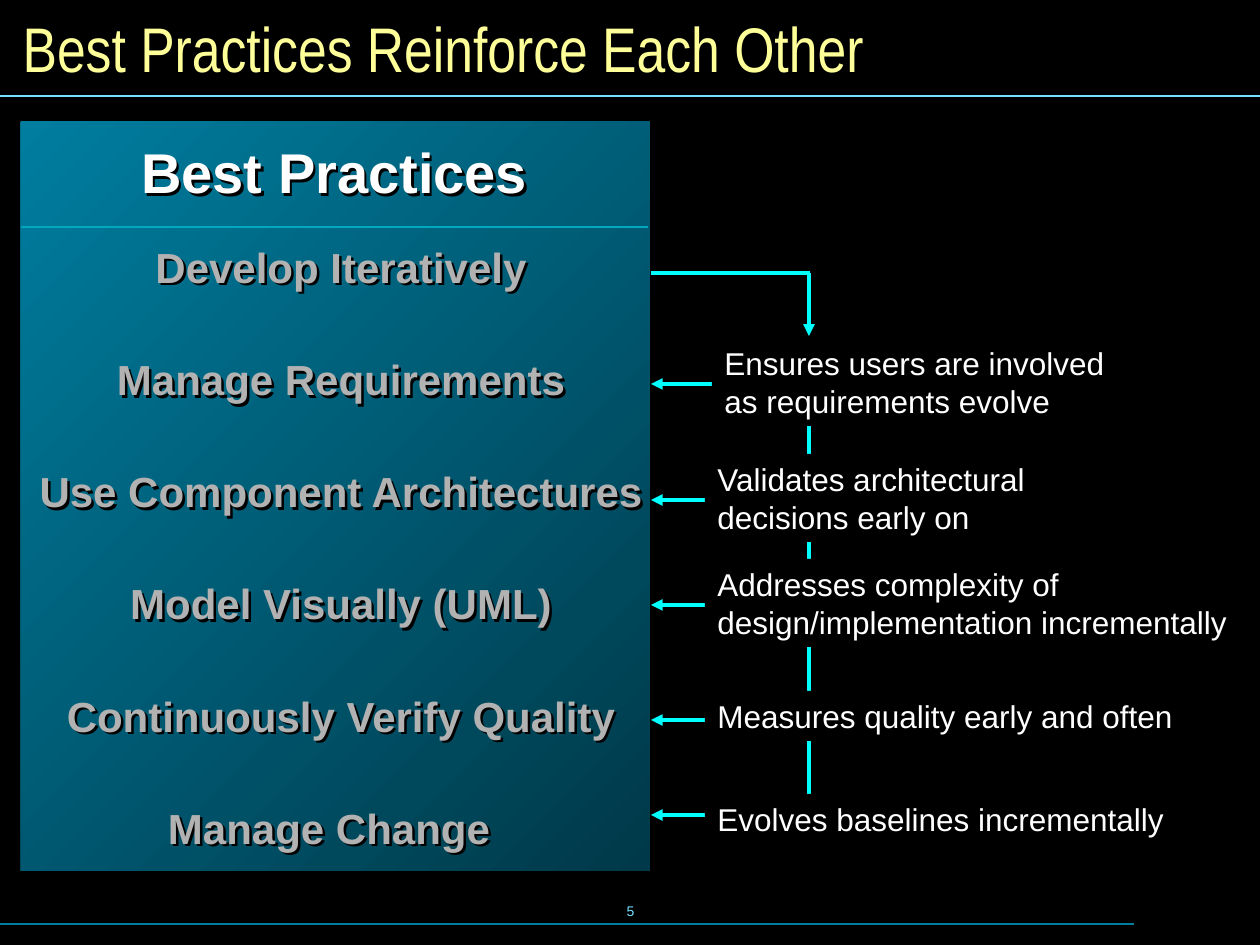
from lxml import etree
from pptx import Presentation
from pptx import util as u
from pptx.dml.color import RGBColor
from pptx.enum import shapes, text
from pptx.oxml.ns import qn

PX = u.Inches(1) // 126
BLACK, WHITE, CYAN, PALE_BLUE = "000000", "FFFFFF", "00FFFF", "73E1FF"
PANEL_RIGHT, SPINE_X = 651, 809

PRACTICES = [
    "Develop Iteratively",
    "Manage Requirements",
    "Use Component Architectures",
    "Model Visually (UML)",
    "Continuously Verify Quality",
    "Manage Change",
]
# left, top, width, height, arrow y, lines
BENEFITS = [
    (712, 338, 424, 88, 384, ["Ensures users are involved", "as requirements evolve"]),
    (705, 454, 354, 88, 500, ["Validates architectural", "decisions early on"]),
    (705, 559, 545, 88, 605, ["Addresses complexity of", "design/implementation incrementally"]),
    (705, 691, 490, 50, 720, ["Measures quality early and often"]),
    (705, 794, 481, 50, 815, ["Evolves baselines incrementally"]),
]


def px(*lengths):
    return [u.Emu(length * PX) for length in lengths]


def color(value):
    return RGBColor.from_string(value)


def add_run(paragraph, words, size, hue, font="Arial", bold=False):
    run = paragraph.add_run()
    run.text = words
    run.font.size = u.Pt(size)
    run.font.name = font
    run.font.bold = bold
    run.font.color.rgb = color(hue)


def add_line(slide, start, end, hue=CYAN, width=2.25, arrow=False):
    line = slide.shapes.add_connector(shapes.MSO_CONNECTOR.STRAIGHT, *px(*start, *end))
    line.line.color.rgb = color(hue)
    line.line.width = u.Pt(width)
    if arrow:
        etree.SubElement(line.line._get_or_add_ln(), qn("a:tailEnd"), type="triangle")
    etree.SubElement(line._element.spPr, qn("a:effectLst"))


def add_textbox(slide, left, top, width, height, wrap=True, shadow=False):
    """Add a centred text box; an unfilled box casts its shadow from the letters."""
    box = slide.shapes.add_textbox(*px(left, top, width, height))
    if shadow:
        effects = etree.SubElement(box._element.spPr, qn("a:effectLst"))
        outer = etree.SubElement(effects, qn("a:outerShdw"), dist="25400", dir="2700000")
        etree.SubElement(outer, qn("a:srgbClr"), val=BLACK)
    frame = box.text_frame
    frame.word_wrap = wrap
    frame.vertical_anchor = text.MSO_ANCHOR.MIDDLE
    frame.paragraphs[0].alignment = text.PP_ALIGN.CENTER
    return frame


def add_rectangle(slide, left, top, width, height):
    box = slide.shapes.add_shape(shapes.MSO_SHAPE.RECTANGLE, *px(left, top, width, height))
    box.shadow.inherit = False
    box.line.fill.background()
    return box


def add_title(slide):
    title = slide.shapes.title
    title.left, title.top, title.width, title.height = px(10, 11, 1240, 73)
    frame = title.text_frame
    frame.auto_size = text.MSO_AUTO_SIZE.NONE
    frame.vertical_anchor = text.MSO_ANCHOR.MIDDLE
    heading = frame.paragraphs[0]
    heading.alignment = text.PP_ALIGN.LEFT
    add_run(heading, "Best Practices Reinforce Each Other", 36, "FFFF99", "Arial Narrow")


def add_panel(slide):
    panel = add_rectangle(slide, 21, 122, 629, 749)
    panel.fill.gradient()
    panel.fill.gradient_angle = 135
    for stop, hue in zip(panel.fill.gradient_stops, ("003949", "007D9F")):
        stop.color.rgb = color(hue)

    heading = add_textbox(slide, 126, 143, 417, 69, wrap=False, shadow=True).paragraphs[0]
    heading.line_spacing = 0.8
    add_run(heading, "Best Practices", 32, WHITE, bold=True)
    add_line(slide, (21, 227), (648, 227), "04A8BE", 0.75)

    frame = add_textbox(slide, 21, 243, 640, 616, shadow=True)
    for index, practice in enumerate(PRACTICES):
        paragraph = frame.paragraphs[0] if index == 0 else frame.add_paragraph()
        paragraph.alignment = text.PP_ALIGN.CENTER
        paragraph.line_spacing = 0.85
        if index:
            paragraph.space_before = u.Pt(39.6)
        add_run(paragraph, practice, 24, "B2B2B2", bold=True)
    # The last practice sits slightly left of the column's centre.
    paragraph._p.get_or_add_pPr().set("marR", str(24 * PX))


def add_benefit(slide, left, top, width, height, lines):
    box = add_rectangle(slide, left, top, width, height)
    box.fill.solid()
    box.fill.fore_color.rgb = color(BLACK)
    frame = box.text_frame
    frame.word_wrap = True
    frame.vertical_anchor = text.MSO_ANCHOR.TOP
    for index, words in enumerate(lines):
        paragraph = frame.paragraphs[0] if index == 0 else frame.add_paragraph()
        paragraph.alignment = text.PP_ALIGN.LEFT
        add_run(paragraph, words, 18, WHITE)


def main():
    deck = Presentation()
    deck.slide_width, deck.slide_height = px(1260, 945)
    slide = deck.slides.add_slide(deck.slide_layouts[5])
    slide.background.fill.solid()
    slide.background.fill.fore_color.rgb = color(BLACK)

    number = add_textbox(slide, 431, 879, 399, 63, wrap=False).paragraphs[0]
    add_run(number, "5", 8, PALE_BLUE)
    add_line(slide, (0, 96), (1260, 96), PALE_BLUE, 0.75)
    add_line(slide, (0, 924), (1134, 924), "007E9F", 0.75)
    add_title(slide)

    add_line(slide, (SPINE_X, 368), (SPINE_X, 804))
    add_panel(slide)
    for left, top, width, height, arrow_y, lines in BENEFITS:
        add_line(slide, (725, arrow_y), (PANEL_RIGHT, arrow_y), arrow=True)
        add_benefit(slide, left, top, width, height, lines)
    add_line(slide, (SPINE_X, 273), (SPINE_X, 336), arrow=True)
    add_line(slide, (PANEL_RIGHT, 273), (SPINE_X + 1, 273))

    deck.save("out.pptx")


if __name__ == "__main__":
    main()
